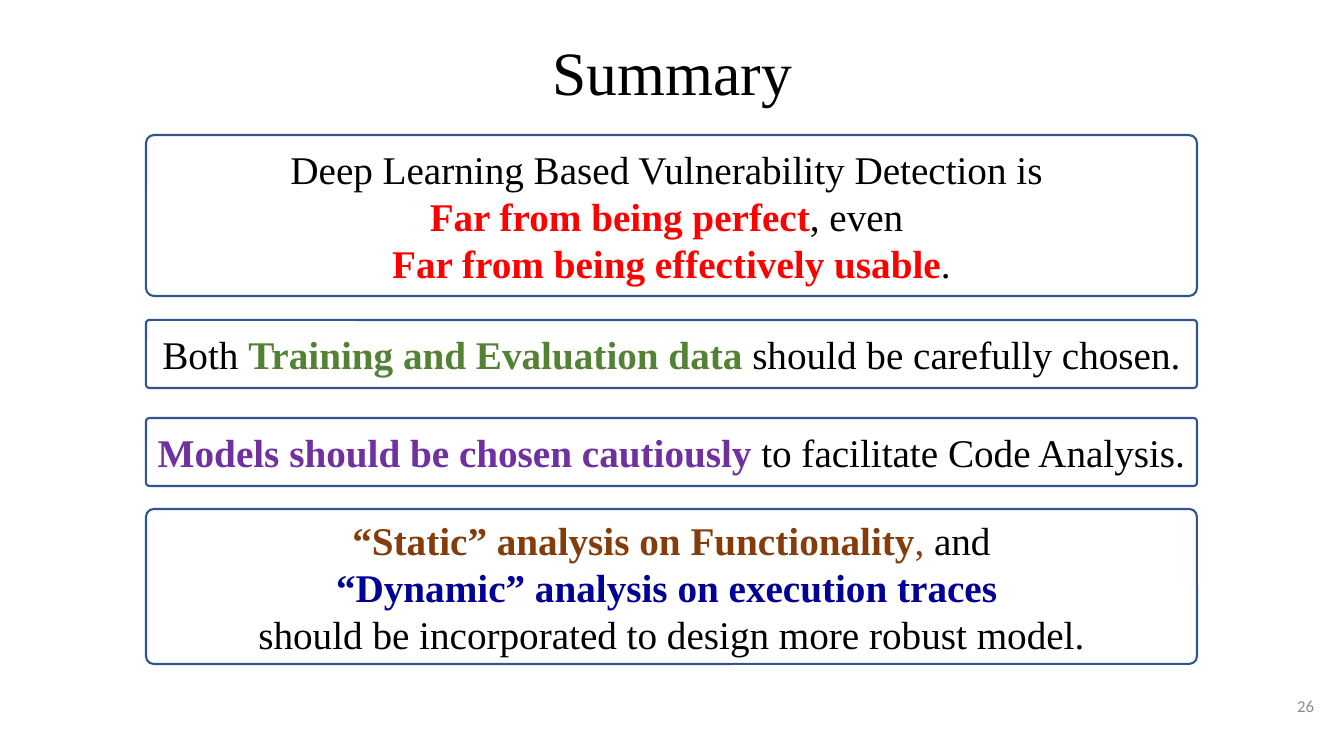
from pptx import Presentation
from pptx.dml.color import RGBColor
from pptx.enum.shapes import MSO_SHAPE
from pptx.enum.text import MSO_ANCHOR, PP_ALIGN
from pptx.util import Emu, Pt

PX_PER_INCH = 100.8
BLACK = RGBColor(0x00, 0x00, 0x00)
GRAY = RGBColor(0x8C, 0x8C, 0x8C)
RED = RGBColor(0xFF, 0x00, 0x00)
GREEN = RGBColor(0x54, 0x82, 0x35)
PURPLE = RGBColor(0x70, 0x30, 0xA0)
BROWN = RGBColor(0x84, 0x3C, 0x0B)
NAVY = RGBColor(0x00, 0x00, 0x99)
BORDER = RGBColor(0x32, 0x54, 0x91)
SERIF = "Times New Roman"

CARD_LEFT, CARD_WIDTH = 146, 1051

# Each card: top, height, lines; each line: runs of (text, colour, bold).
CARDS = [
    (135, 161, [
        [("Deep Learning Based Vulnerability Detection is ", BLACK, False)],
        [("Far from being perfect", RED, True), (", even ", BLACK, False)],
        [("Far from being effectively usable", RED, True), (".", BLACK, False)],
    ]),
    (320, 68, [
        [("Both ", BLACK, False),
         ("Training and Evaluation data ", GREEN, True),
         ("should be carefully chosen.", BLACK, False)],
    ]),
    (418, 68, [
        [("Models should be chosen cautiously ", PURPLE, True),
         ("to facilitate Code Analysis.", BLACK, False)],
    ]),
    (509, 155, [
        [("“Static” analysis on Functionality", BROWN, True),
         (", ", BROWN, False), ("and", BLACK, False)],
        [("“Dynamic” analysis on execution traces ", NAVY, True)],
        [("should be incorporated to design more robust model.", BLACK, False)],
    ]),
]


def px(length):
    return Emu(round(length * 914400 / PX_PER_INCH))


def add_label(slide, box, text, size, font_name, color, align):
    """Add a one-line text box and return its text frame."""
    frame = slide.shapes.add_textbox(*map(px, box)).text_frame
    frame.word_wrap = True
    paragraph = frame.paragraphs[0]
    paragraph.text = text
    paragraph.alignment = align
    paragraph.font.size = Pt(size)
    paragraph.font.name = font_name
    paragraph.font.color.rgb = color
    return frame


def add_card(slide, top, height, lines):
    card = slide.shapes.add_shape(
        MSO_SHAPE.ROUNDED_RECTANGLE,
        *map(px, (CARD_LEFT, top, CARD_WIDTH, height)))
    card.adjustments[0] = 0.05
    card.shadow.inherit = False
    card.fill.background()
    card.line.color.rgb = BORDER
    card.line.width = Pt(1.5)
    frame = card.text_frame
    frame.word_wrap = True
    frame.vertical_anchor = MSO_ANCHOR.MIDDLE
    for index, line in enumerate(lines):
        paragraph = frame.add_paragraph() if index else frame.paragraphs[0]
        paragraph.alignment = PP_ALIGN.CENTER
        paragraph.font.size = Pt(28)
        paragraph.font.name = SERIF
        for text, color, bold in line:
            run = paragraph.add_run()
            run.text = text
            run.font.color.rgb = color
            run.font.bold = bold


def main():
    deck = Presentation()
    deck.slide_width, deck.slide_height = px(1344), px(756)
    slide = deck.slides.add_slide(deck.slide_layouts[6])

    title = add_label(slide, (67, 29, 1211, 85), "Summary", 44, SERIF, BLACK,
                      PP_ALIGN.CENTER)
    title.paragraphs[0].line_spacing = 0.9
    title.margin_left = title.margin_right = px(13)
    title.margin_top = title.margin_bottom = px(13)

    for top, height, lines in CARDS:
        add_card(slide, top, height, lines)

    page_number = add_label(slide, (1277, 686, 47, 40), "26", 12, "Calibri",
                            GRAY, PP_ALIGN.RIGHT)
    page_number.vertical_anchor = MSO_ANCHOR.MIDDLE

    deck.save("out.pptx")


if __name__ == "__main__":
    main()
